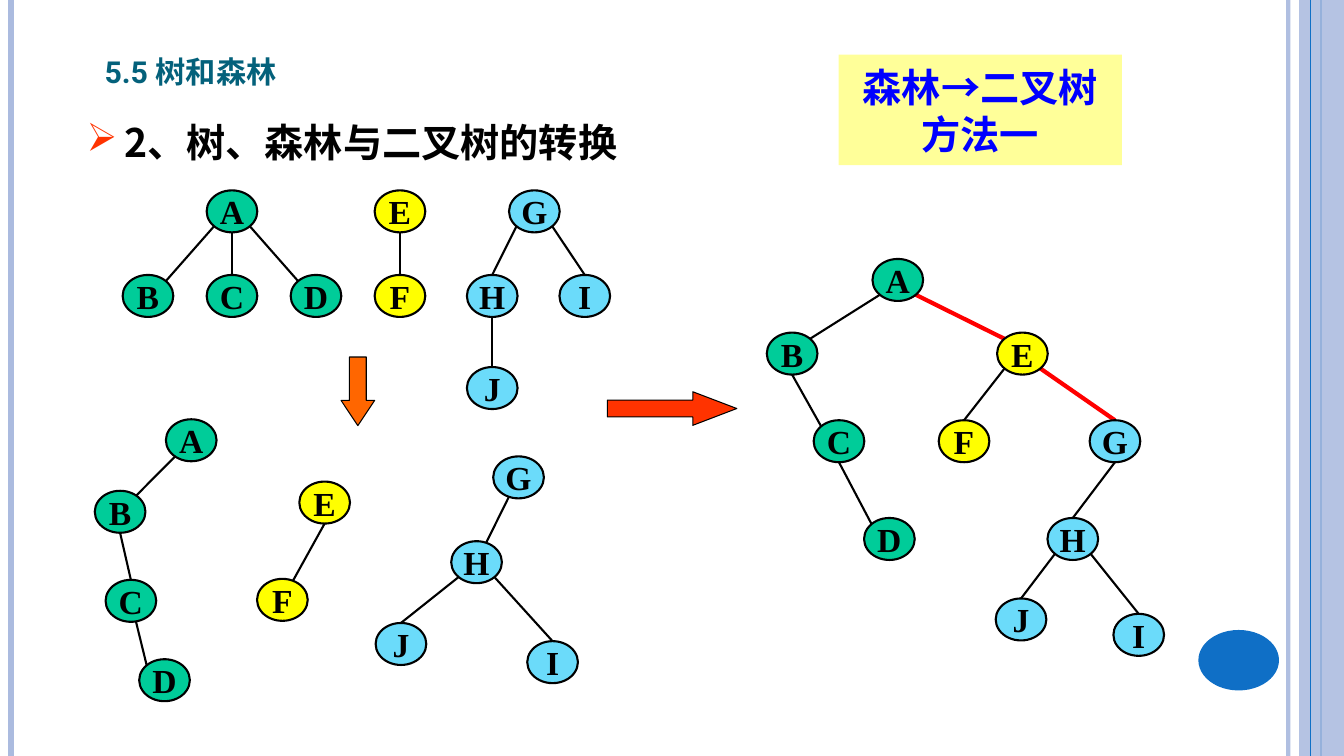
from lxml import etree
from pptx import Presentation
from pptx.dml.color import RGBColor
from pptx.enum import shapes, text
from pptx.oxml import ns
from pptx.util import Pt

COLORS = {
    "green": "00CC99", "yellow": "FFFF00", "cyan": "6BDBFA", "black": "000000",
    "red": "FF0000", "orange": "FF6600", "vermilion": "FF3300", "note": "FFFF99",
    "ink": "0000FF", "title": "04617B", "pale": "ABBBDF", "blue": "0F6FC6",
}
CJK = "Noto Sans CJK SC"
NODE_WIDTH, NODE_HEIGHT = 36.2, 30
TREE_COLORS = {**dict.fromkeys("ABCD", "green"), **dict.fromkeys("EF", "yellow"),
               **dict.fromkeys("GHIJ", "cyan")}
# Where an edge meets a node, as fractions of the node's size
SITES = {"top": (0.5, 0), "bottom": (0.5, 1), "center": (0.5, 0.5),
         "top left": (0.15, 0.15), "top right": (0.85, 0.15),
         "bottom left": (0.15, 0.85), "bottom right": (0.85, 0.85)}

presentation = Presentation()
presentation.slide_width, presentation.slide_height = Pt(960), Pt(540)
slide = presentation.slides.add_slide(presentation.slide_layouts[6])


def add_line(x1, y1, x2, y2, color, width):
    line = slide.shapes.add_connector(
        shapes.MSO_CONNECTOR.STRAIGHT, Pt(x1), Pt(y1), Pt(x2), Pt(y2))
    line.line.color.rgb = RGBColor.from_string(COLORS[color])
    line.line.width = Pt(width)
    etree.SubElement(line._element.spPr, ns.qn("a:effectLst"))
    return line


def add_block(kind, box, fill, outline=0, lines=(), font=None):
    """Add a filled shape, or a text box when fill is None, with its text."""
    box = [Pt(value) for value in box]
    if fill:
        shape = slide.shapes.add_shape(kind, *box)
        shape.shadow.inherit = False
        shape.fill.solid()
        shape.fill.fore_color.rgb = RGBColor.from_string(COLORS[fill])
        if outline:
            shape.line.color.rgb = RGBColor.from_string(COLORS["black"])
            shape.line.width = Pt(outline)
        else:
            shape.line.fill.background()
    else:
        shape = slide.shapes.add_textbox(*box)
    frame = shape.text_frame
    for index, content in enumerate(lines):
        paragraph = frame.paragraphs[0] if index == 0 else frame.add_paragraph()
        paragraph.alignment = text.PP_ALIGN.CENTER if fill else text.PP_ALIGN.LEFT
        run = paragraph.add_run()
        run.text = content
        size, face, color = font
        run.font.color.rgb = RGBColor.from_string(COLORS[color])
        for name, value in {"size": Pt(size), "bold": True, "name": face}.items():
            setattr(run.font, name, value)
        etree.SubElement(run._r.get_or_add_rPr(), ns.qn("a:ea"), typeface=CJK)
    return shape


# Side decoration
side_line = add_line(920.2, 0, 920.2, 540, "pale", 3)
add_line(7.9, 0, 7.9, 540, "pale", 4.5)
add_line(943.9, 0, 943.9, 540, "blue", 1.5)
side_band = add_block(shapes.MSO_SHAPE.RECTANGLE, (928, 0, 32, 540), "pale")
add_line(936, 0, 936, 540, "blue", 0.75)
add_block(shapes.MSO_SHAPE.OVAL, (856, 450, 57.6, 43.2), "blue")
for decoration, opacity in ((side_line, 93000), (side_band, 87000)):
    tint = next(decoration._element.spPr.iter(ns.qn("a:srgbClr")))
    etree.SubElement(tint, ns.qn("a:alpha"), val=str(opacity))

# Headings
note = add_block(shapes.MSO_SHAPE.RECTANGLE, (599, 39, 202.3, 79), "note",
                 lines=("森林→二叉树", "方法一"), font=(28, CJK, "ink"))
note.text_frame.vertical_anchor = text.MSO_ANCHOR.MIDDLE

title = add_block(None, (67.7, 24.5, 211, 43.9), None,
                  lines=("5.5 树和森林",), font=(27, "Roboto", "title"))
title.text_frame.word_wrap = True
title.text_frame.vertical_anchor = text.MSO_ANCHOR.BOTTOM
title.text_frame.paragraphs[0].runs[0]._r.rPr.set("cap", "small")

topic = add_block(None, (54.7, 72.7, 475, 87), None,
                  lines=("2、树、森林与二叉树的转换",), font=(28, CJK, "black"))
topic.text_frame.word_wrap = True
topic_paragraph = topic.text_frame.paragraphs[0]
topic_paragraph.line_spacing = 1.25
properties = topic_paragraph._p.get_or_add_pPr()
properties.set("marL", str(Pt(27)))
properties.set("indent", str(-Pt(27)))
bullet_color = etree.SubElement(properties, ns.qn("a:buClr"))
etree.SubElement(bullet_color, ns.qn("a:srgbClr"), val=COLORS["vermilion"])
etree.SubElement(properties, ns.qn("a:buChar"), char="➢")

# Each diagram: node corners, then edges as parent+child, start site, end site
forest = (
    {"A": (147.6, 136), "B": (87.6, 196.4), "C": (147.6, 196.4), "D": (207.6, 196.4),
     "E": (267.6, 136), "F": (267.6, 196.4), "G": (363.6, 136),
     "H": (333.5, 196.4), "I": (399.6, 196.4), "J": (333.5, 262.2)},
    [("AB", "bottom left", "top right"), ("AC", "bottom", "top"),
     ("AD", "bottom right", "top left"), ("EF", "bottom", "top"),
     ("GH", "bottom left", "top"), ("GI", "bottom right", "top"),
     ("HJ", "bottom", "top")])
binary_trees = (
    {"A": (118.5, 299.5), "B": (67.7, 350.6), "C": (75.4, 414.2), "D": (99.4, 470.9),
     "E": (213.8, 344), "F": (183.6, 413.5), "G": (352.3, 326),
     "H": (322.3, 386.6), "I": (376.6, 458), "J": (268.3, 445)},
    [("AB", "center", "center"), ("BC", "bottom", "top"), ("CD", "center", "top left"),
     ("EF", "bottom", "center"), ("GH", "center", "center"),
     ("HJ", "bottom left", "top"), ("HI", "bottom right", "top")])
joined_tree = (
    {"A": (623.2, 185), "B": (547.7, 237.6), "C": (581.2, 300.2), "D": (617.2, 370),
     "E": (712.2, 237.6), "F": (670.5, 300.2), "G": (778.3, 300.2),
     "H": (748.2, 370), "I": (795.3, 438.5), "J": (711.2, 427.5)},
    [("AB", "bottom left", "top right"), ("BC", "bottom", "top left"),
     ("CD", "bottom", "top left"), ("EF", "bottom left", "top"),
     ("GH", "bottom", "top"), ("HJ", "bottom left", "top"),
     ("HI", "bottom right", "top"), ("AE", "bottom right", "top left"),
     ("EG", "bottom right", "top")])
new_links = ("AE", "EG")

for nodes, edges in (forest, binary_trees, joined_tree):
    for ends, *sites in edges:
        points = []
        for name, site in zip(ends, sites):
            points += [nodes[name][0] + SITES[site][0] * NODE_WIDTH,
                       nodes[name][1] + SITES[site][1] * NODE_HEIGHT]
        color, width = ("red", 3) if ends in new_links else ("black", 1.5)
        add_line(*points, color, width)
    for name, corner in nodes.items():
        node = add_block(shapes.MSO_SHAPE.OVAL, (*corner, NODE_WIDTH, NODE_HEIGHT),
                         TREE_COLORS[name], 1.5, (name,),
                         (24, "Times New Roman", "black"))
        node.text_frame.word_wrap = False
        node.text_frame.vertical_anchor = text.MSO_ANCHOR.MIDDLE

# Step arrows
for kind, box, color, head in (
        (shapes.MSO_SHAPE.DOWN_ARROW, (243.6, 255, 24, 49), "orange", 0.75),
        (shapes.MSO_SHAPE.RIGHT_ARROW, (433.8, 279.8, 92.5, 24), "vermilion", 1.31)):
    arrow = add_block(kind, box, color, 0.75)
    arrow.adjustments[0], arrow.adjustments[1] = 0.5, head

presentation.save("out.pptx")
